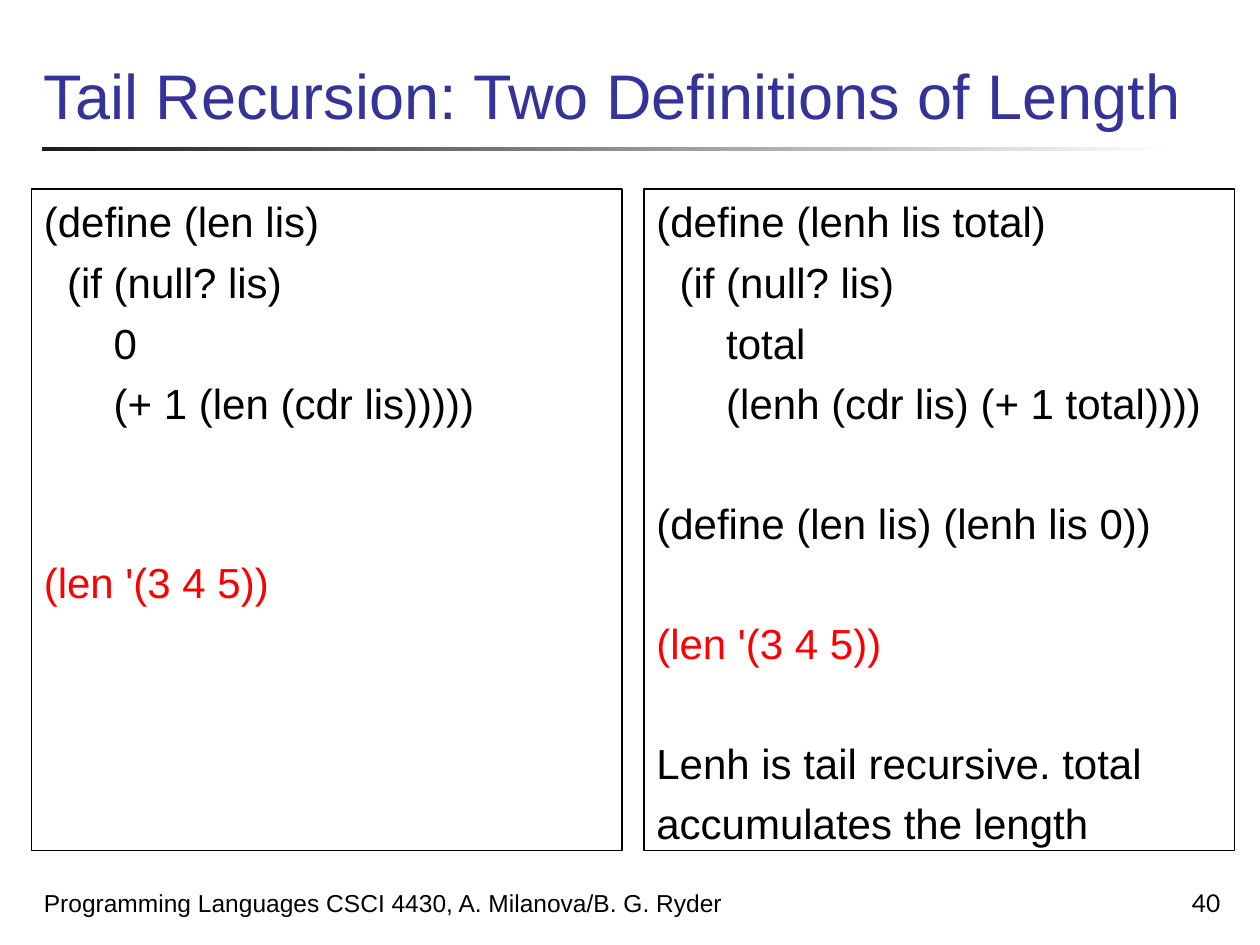
"""Build the slide comparing two Scheme definitions of list length."""
from dataclasses import dataclass

from pptx import Presentation
from pptx.dml.color import RGBColor
from pptx.enum.shapes import MSO_SHAPE as Preset
from pptx.enum.text import MSO_ANCHOR as Anchor, PP_ALIGN as Align
from pptx.util import Pt

BLACK, RED, BLUE = "000000", "FF0000", "333399"
CODE_SIZE = 24
LINE_GAP = 6
LINE_PITCH = 33.6


@dataclass
class Line:
    text: str
    color: str = BLACK
    skipped: int = 0


@dataclass
class Box:
    left: float
    top: float
    width: float
    height: float
    lines: list[Line]
    size: float
    font: str = "Arial"
    anchor: Anchor = Anchor.BOTTOM
    align: Align = Align.LEFT
    outlined: bool = False


def rgb(code: str) -> RGBColor:
    return RGBColor.from_string(code)


def draw_box(slide, box: Box) -> None:
    area = slide.shapes.add_textbox(
        Pt(box.left), Pt(box.top), Pt(box.width), Pt(box.height))
    if box.outlined:
        area.line.color.rgb = rgb(BLACK)
        area.line.width = Pt(0.75)
    frame = area.text_frame
    frame.word_wrap = True
    frame.vertical_anchor = box.anchor
    for index, line in enumerate(box.lines):
        paragraph = frame.add_paragraph() if index else frame.paragraphs[0]
        paragraph.text = line.text
        paragraph.alignment = box.align
        if index:
            paragraph.space_before = Pt(LINE_GAP + line.skipped * LINE_PITCH)
        paragraph.font.name = box.font
        paragraph.font.size = Pt(box.size)
        paragraph.font.color.rgb = rgb(line.color)


def draw_rule(slide, left: float, top: float, width: float, height: float) -> None:
    rule = slide.shapes.add_shape(
        Preset.RECTANGLE, Pt(left), Pt(top), Pt(width), Pt(height))
    rule.shadow.inherit = False
    rule.line.fill.background()
    rule.fill.gradient()
    rule.fill.gradient_angle = 0
    for stop, color in zip(rule.fill.gradient_stops, ("1C1C1C", "FFFFFF")):
        stop.color.rgb = rgb(color)


def code_panel(left: float, lines: list[Line]) -> Box:
    return Box(left, 108, 337.5, 378, lines, CODE_SIZE,
               anchor=Anchor.TOP, outlined=True)


PLAIN_LENGTH = [
    Line("(define (len lis)"),
    Line("  (if (null? lis)"),
    Line("      0"),
    Line("      (+ 1 (len (cdr lis)))))"),
    Line("(len '(3 4 5))", RED, skipped=2),
]
TAIL_LENGTH = [
    Line("(define (lenh lis total)"),
    Line("  (if (null? lis)"),
    Line("      total"),
    Line("      (lenh (cdr lis) (+ 1 total))))"),
    Line("(define (len lis) (lenh lis 0))", skipped=1),
    Line("(len '(3 4 5))", RED, skipped=1),
    Line("Lenh is tail recursive. total", skipped=1),
    Line("accumulates the length"),
]
TITLE = [Line("Tail Recursion: Two Definitions of Length", BLUE)]
COURSE = [Line("Programming Languages CSCI 4430, A. Milanova/B. G. Ryder")]
BOXES = [
    Box(18, 0, 685.5, 79.2, TITLE, 36),
    code_panel(18, PLAIN_LENGTH),
    code_panel(368, TAIL_LENGTH),
    Box(18, 492, 408, 36, COURSE, 14),
    Box(554.4, 492, 150, 36, [Line("40")], 14, font="Lato", align=Align.RIGHT),
]


def main() -> None:
    deck = Presentation()
    deck.slide_width, deck.slide_height = Pt(720), Pt(540)
    slide = deck.slides.add_slide(deck.slide_layouts[6])
    draw_rule(slide, 24, 84, 648, 2.25)
    for box in BOXES:
        draw_box(slide, box)
    deck.save("out.pptx")


if __name__ == "__main__":
    main()
